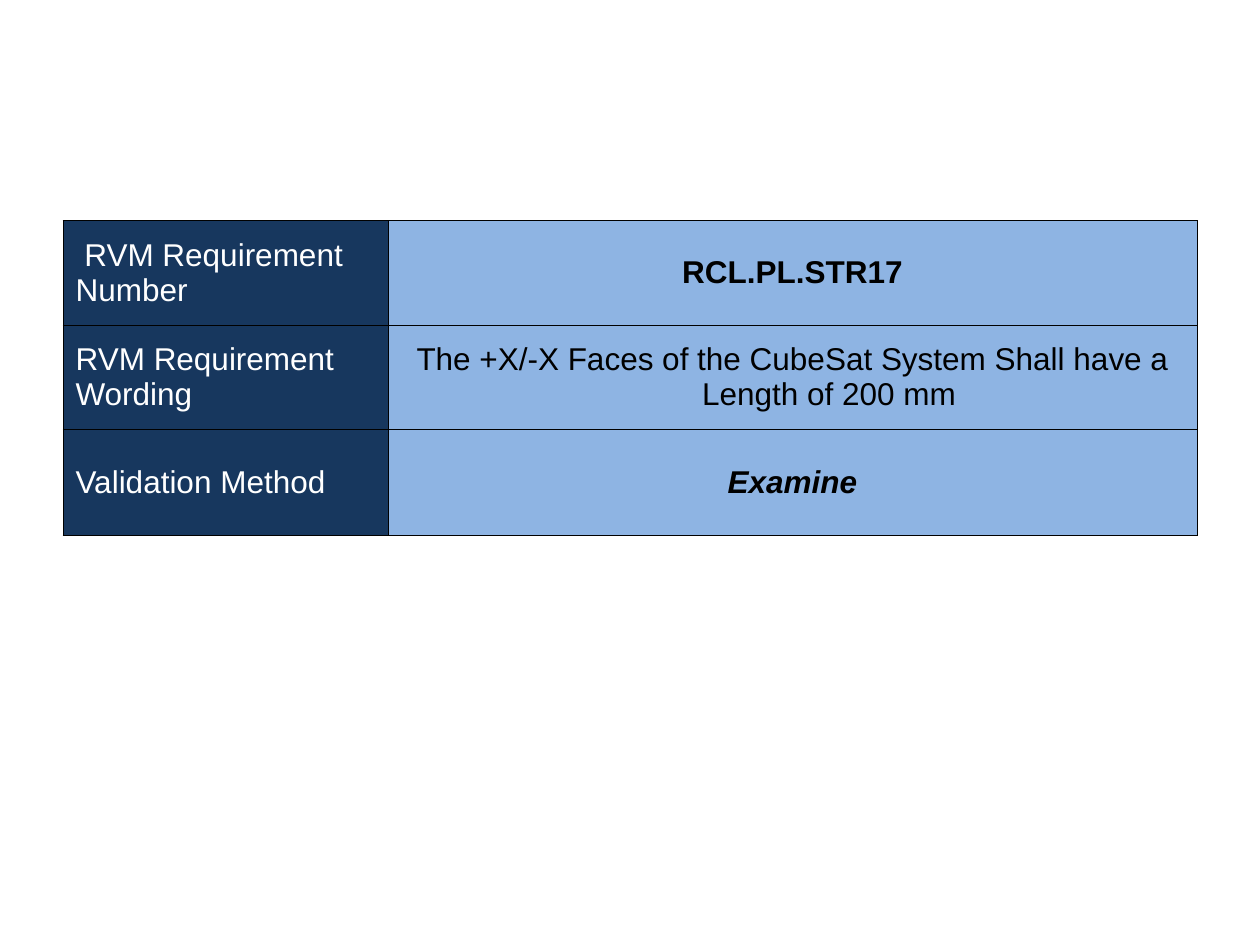
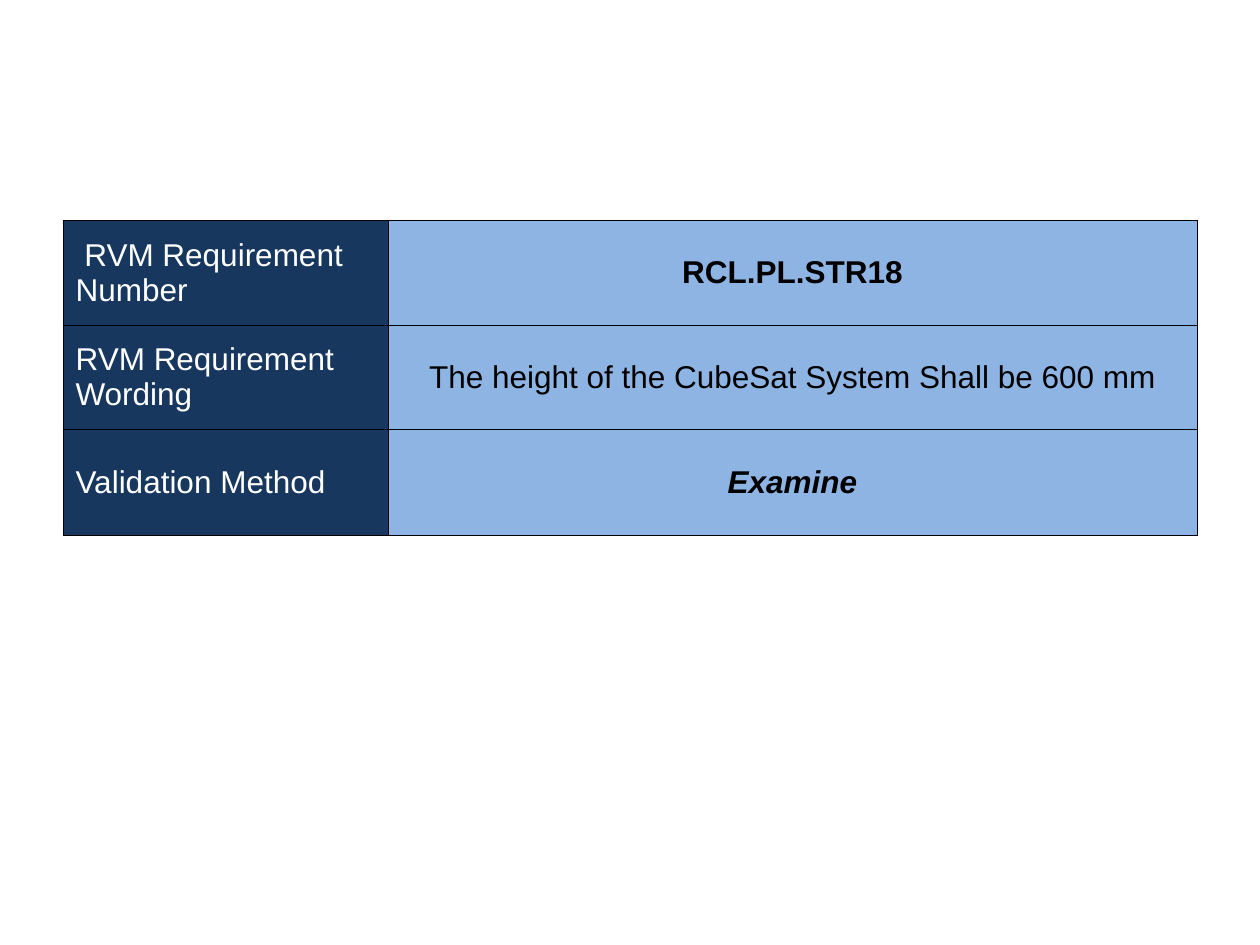
"""Build two requirement validation slides, each with one summary table."""
from dataclasses import dataclass

from lxml import etree
from pptx import Presentation
from pptx.dml.color import RGBColor
from pptx.enum.text import MSO_ANCHOR, PP_ALIGN
from pptx.oxml.ns import qn
from pptx.util import Inches, Pt

LEFT, CENTER = PP_ALIGN.LEFT, PP_ALIGN.CENTER
MIDDLE = MSO_ANCHOR.MIDDLE


@dataclass(frozen=True)
class Theme:
    label_fill: str = "17375E"
    value_fill: str = "8EB4E3"
    label_text: str = "FFFFFF"
    value_text: str = "000000"
    border: str = "000000"
    border_width: float = 0.45
    font: str = "Arial"
    size: int = 18


THEME = Theme()
LABELS = [" RVM Requirement Number", "RVM Requirement Wording", "Validation Method"]
REQUIREMENTS = [
    ("RCL.PL.STR17", "The +X/-X Faces of the CubeSat System Shall have a Length of 200 mm", "Examine"),
    ("RCL.PL.STR18", "The height of the CubeSat System Shall be 600 mm", "Examine"),
]
COL_WIDTHS = [2.58, 6.42]
ROW_HEIGHTS = [0.83, 0.83, 0.84]
HANGING_INDENT = Inches(0.58)
NUMBER_ROW, WORDING_ROW, METHOD_ROW = range(3)


def set_borders(cell):
    tc_pr = cell._tc.get_or_add_tcPr()
    for side in ("lnL", "lnR", "lnT", "lnB"):
        ln = etree.SubElement(tc_pr, qn(f"a:{side}"), w=str(Pt(THEME.border_width)))
        fill = etree.SubElement(ln, qn("a:solidFill"))
        etree.SubElement(fill, qn("a:srgbClr"), val=THEME.border)


def fill_cell(cell, text, fill, color, align, bold=False, italic=False):
    set_borders(cell)
    cell.fill.solid()
    cell.fill.fore_color.rgb = RGBColor.from_string(fill)
    cell.vertical_anchor = MIDDLE
    cell.text_frame.text = text
    p = cell.text_frame.paragraphs[0]
    p.alignment = align
    font = p.runs[0].font
    font.name, font.size = THEME.font, Pt(THEME.size)
    font.bold, font.italic = bold, italic
    font.color.rgb = RGBColor.from_string(color)


prs = Presentation()
prs.slide_width, prs.slide_height = Inches(10), Inches(7.5)

for values in REQUIREMENTS:
    s = prs.slides.add_slide(prs.slide_layouts[6])
    table = s.shapes.add_table(
        len(LABELS), len(COL_WIDTHS), Inches(0.5), Inches(1.75),
        Inches(sum(COL_WIDTHS)), Inches(sum(ROW_HEIGHTS)),
    ).table
    table.first_row = table.horz_banding = False
    for column, width in zip(table.columns, COL_WIDTHS):
        column.width = Inches(width)
    for row, height in zip(table.rows, ROW_HEIGHTS):
        row.height = Inches(height)

    for i, (label, value) in enumerate(zip(LABELS, values)):
        fill_cell(table.cell(i, 0), label, THEME.label_fill, THEME.label_text, LEFT)
        fill_cell(table.cell(i, 1), value, THEME.value_fill, THEME.value_text, CENTER,
                  bold=i in (NUMBER_ROW, METHOD_ROW), italic=i == METHOD_ROW)

    p_pr = table.cell(WORDING_ROW, 1).text_frame.paragraphs[0]._p.get_or_add_pPr()
    p_pr.set("marL", str(HANGING_INDENT))
    p_pr.set("indent", str(-HANGING_INDENT))

prs.save("out.pptx")
